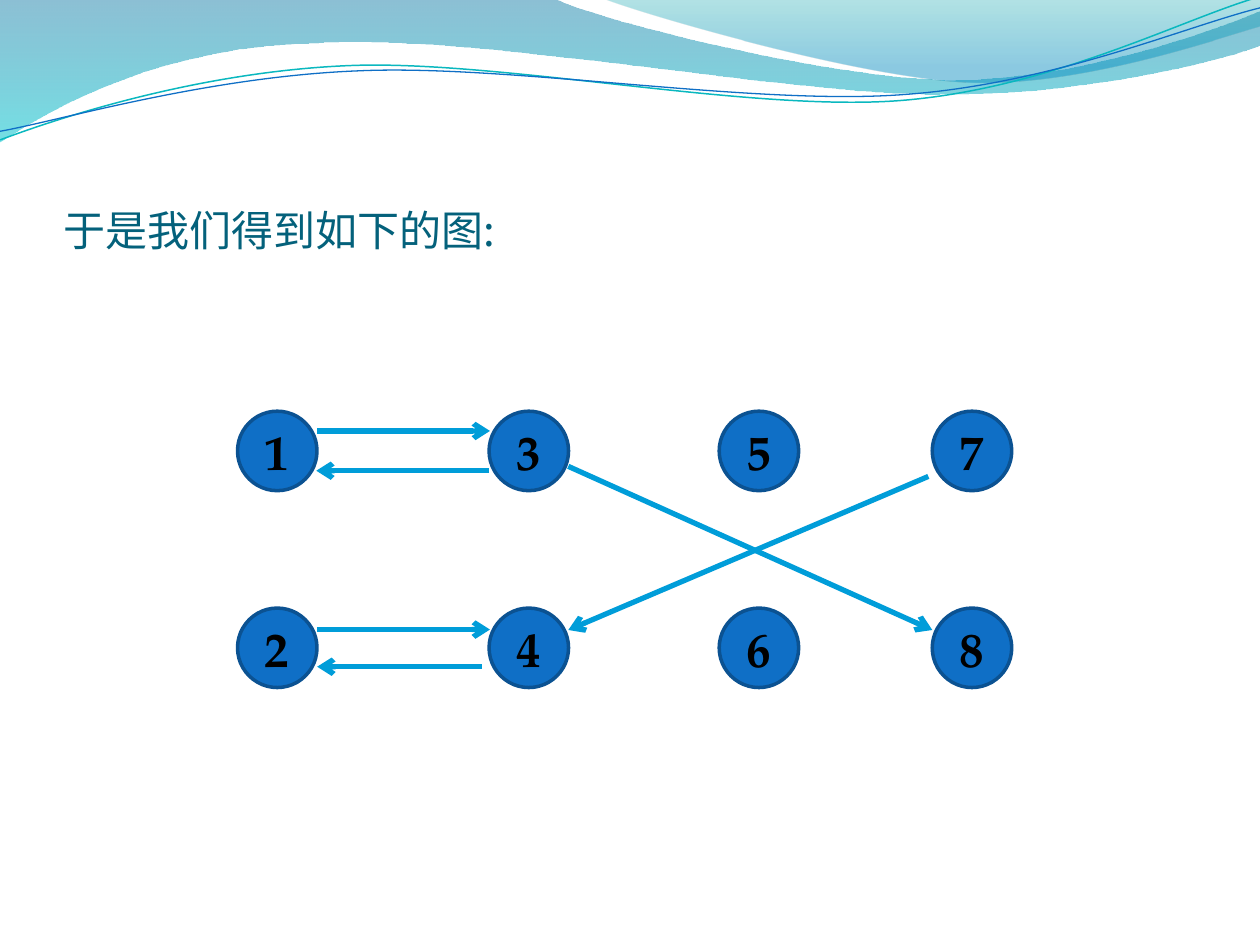
from lxml.etree import Element, SubElement
from pptx import Presentation
from pptx.dml.color import RGBColor
from pptx.enum.shapes import MSO_CONNECTOR, MSO_SHAPE
from pptx.enum.text import MSO_ANCHOR, PP_ALIGN
from pptx.oxml.ns import qn
from pptx.util import Pt

# Content: all lengths are in points
TITLE = "于是我们得到如下的图:"
TITLE_BOX = (36.25, 55.5, 648, 90)

# A wave is a list of steps: 2 numbers are a straight step, 6 a Bezier curve
FILLED_WAVES = [
    ([(0, 0), (317, -0.7), (343, 12, 478, 45.5, 546, 45.5),
      (614, 45.5, 690, 19, 720, 6.5), (720.5, 26),
      (708, 31.5, 626, 54.5, 537, 54), (448, 54, 275, 20, 185, 24.5),
      (93, 26, 33, 60, -0.7, 81.5)],
     [(0, "0074A1", 45), (1, "00C6CF", 55)]),
    ([(345, -0.7), (366.5, 8, 491, 44.5, 553.5, 47),
      (616, 49.5, 692, 23, 720, 15), (720, 0)],
     [(0, "00A1A9", 30), (0.8, "008BBF", 45)]),
]
# Line waves are given level, then turned
LINE_WAVES = [
    ([(-1.4, 63), (33.6, 51.7, 114.3, 29.4, 199.9, 30),
      (284.9, 30.5, 425.9, 67.2, 512.6, 64.8),
      (599.3, 62.3, 676.6, 25.9, 720.1, 15.5)],
     "0AB8BF", 0.85),
    ([(-1.1, 58), (33.1, 53.6, 118.2, 32.6, 204.3, 33.2),
      (290.4, 33.2, 429.1, 63.8, 515.3, 61.4),
      (601.5, 59.4, 678.4, 30, 721.4, 21.5)],
     "0F6FC6", 0.75),
]
LINE_WAVE_TURN = 357.3

# Nodes are numbered down each column
COLUMNS = (135.75, 279.5, 411, 532.75)
ROWS = (235, 347.5)
NODE_SIZE = 45.4
ARROWS = [
    (181.25, 246.25, 280, 246.25),  # 1 to 3
    (181.25, 359.75, 280, 359.75),  # 2 to 4
    (530.5, 272.25, 324.75, 360),   # 7 to 4
    (324.75, 266.5, 532.75, 360),   # 3 to 8
    (275.25, 381, 181.25, 381),     # 4 to 2
    (279.5, 269, 180.75, 269),      # 3 to 1
]


def color(value):
    return RGBColor.from_string(value)


def set_line(shape, value, width):
    shape.line.color.rgb = color(value)
    shape.line.width = Pt(width)


def write_text(shape, text, *, size, font, fill, bold=False,
               align=PP_ALIGN.LEFT, anchor=MSO_ANCHOR.MIDDLE):
    frame = shape.text_frame
    frame.word_wrap = True
    frame.vertical_anchor = anchor
    paragraph = frame.paragraphs[0]
    paragraph.alignment = align
    run = paragraph.add_run()
    run.text = text
    run.font.size = Pt(size)
    run.font.name = font
    run.font.bold = bold
    run.font.color.rgb = color(fill)
    SubElement(run.font._element, qn("a:ea"), typeface=font)


def add_wave(slide, steps, close):
    """Build the outline through the step ends, then bend the curved steps."""
    points = [(Pt(step[-2]), Pt(step[-1])) for step in steps]
    builder = slide.shapes.build_freeform(*points[0])
    builder.add_line_segments(points[1:], close=close)
    shape = builder.convert_to_shape()
    shape.shadow.inherit = False
    segments = list(shape._element.iter(qn("a:lnTo")))
    for segment, step in zip(segments, steps[1:]):
        if len(step) == 6:
            curve = Element(qn("a:cubicBezTo"))
            for x, y in zip(step[::2], step[1::2]):
                SubElement(curve, qn("a:pt"), x=str(Pt(x) - shape.left),
                           y=str(Pt(y) - shape.top))
            segment.getparent().replace(segment, curve)
    return shape


def fill_gradient(shape, stops):
    shape.fill.gradient()
    shape.fill.gradient_angle = 270  # top to bottom
    for stop, (position, value, _) in zip(shape.fill.gradient_stops, stops):
        stop.position = position
        stop.color.rgb = color(value)
    for element, (_, _, opacity) in zip(shape._element.iter(qn("a:srgbClr")), stops):
        SubElement(element, qn("a:alpha"), val=str(opacity * 1000))


def add_node(slide, label, left, top):
    node = slide.shapes.add_shape(
        MSO_SHAPE.OVAL, Pt(left), Pt(top), Pt(NODE_SIZE), Pt(NODE_SIZE))
    node.shadow.inherit = False
    node.fill.solid()
    node.fill.fore_color.rgb = color("0F6FC6")
    set_line(node, "0B5292", 2)
    write_text(node, label, size=28, font="TeX Gyre Pagella", fill="000000",
               bold=True, align=PP_ALIGN.CENTER)


def add_arrow(slide, ends):
    arrow = slide.shapes.add_connector(MSO_CONNECTOR.STRAIGHT, *map(Pt, ends))
    set_line(arrow, "009DD9", 3)
    SubElement(arrow.line._get_or_add_ln(), qn("a:tailEnd"), type="arrow")
    SubElement(arrow._element.spPr, qn("a:effectLst"))


def main():
    presentation = Presentation()
    presentation.slide_width, presentation.slide_height = Pt(720), Pt(540)
    slide = presentation.slides.add_slide(presentation.slide_layouts[6])

    # Waves along the top
    for steps, stops in FILLED_WAVES:
        wave = add_wave(slide, steps, close=True)
        fill_gradient(wave, stops)
        wave.line.fill.background()
    for steps, value, width in LINE_WAVES:
        wave = add_wave(slide, steps, close=False)
        wave.rotation = LINE_WAVE_TURN
        wave.fill.background()
        set_line(wave, value, width)

    # Title
    title = slide.shapes.add_textbox(*map(Pt, TITLE_BOX))
    frame = title.text_frame
    frame.margin_left = frame.margin_right = frame.margin_bottom = 0
    write_text(title, TITLE, size=24, font="Noto Sans CJK SC", fill="04617B",
               anchor=MSO_ANCHOR.BOTTOM)

    # Graph
    for column, left in enumerate(COLUMNS):
        for row, top in enumerate(ROWS):
            add_node(slide, str(column * len(ROWS) + row + 1), left, top)
    for ends in ARROWS:
        add_arrow(slide, ends)

    presentation.save("out.pptx")


if __name__ == "__main__":
    main()
